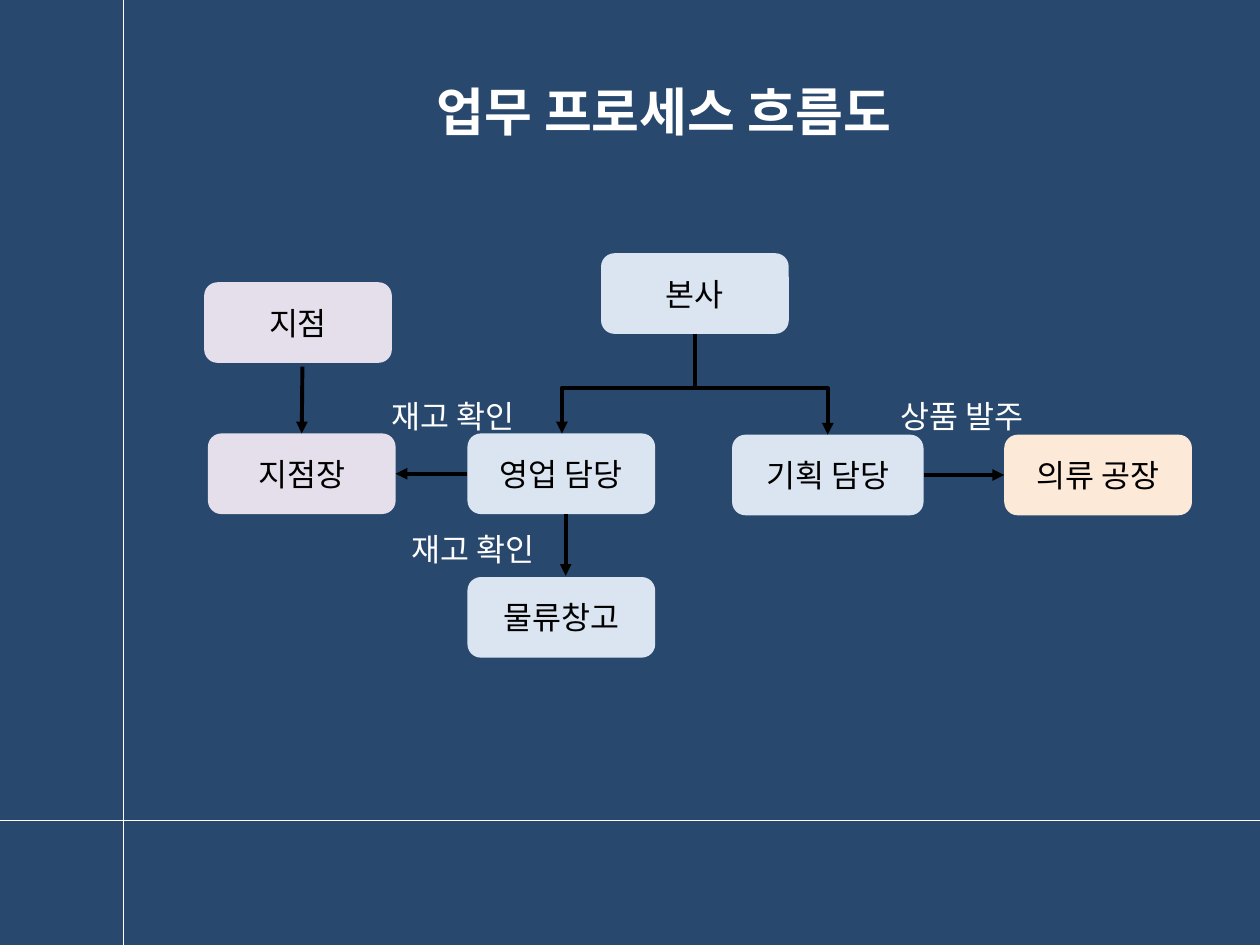
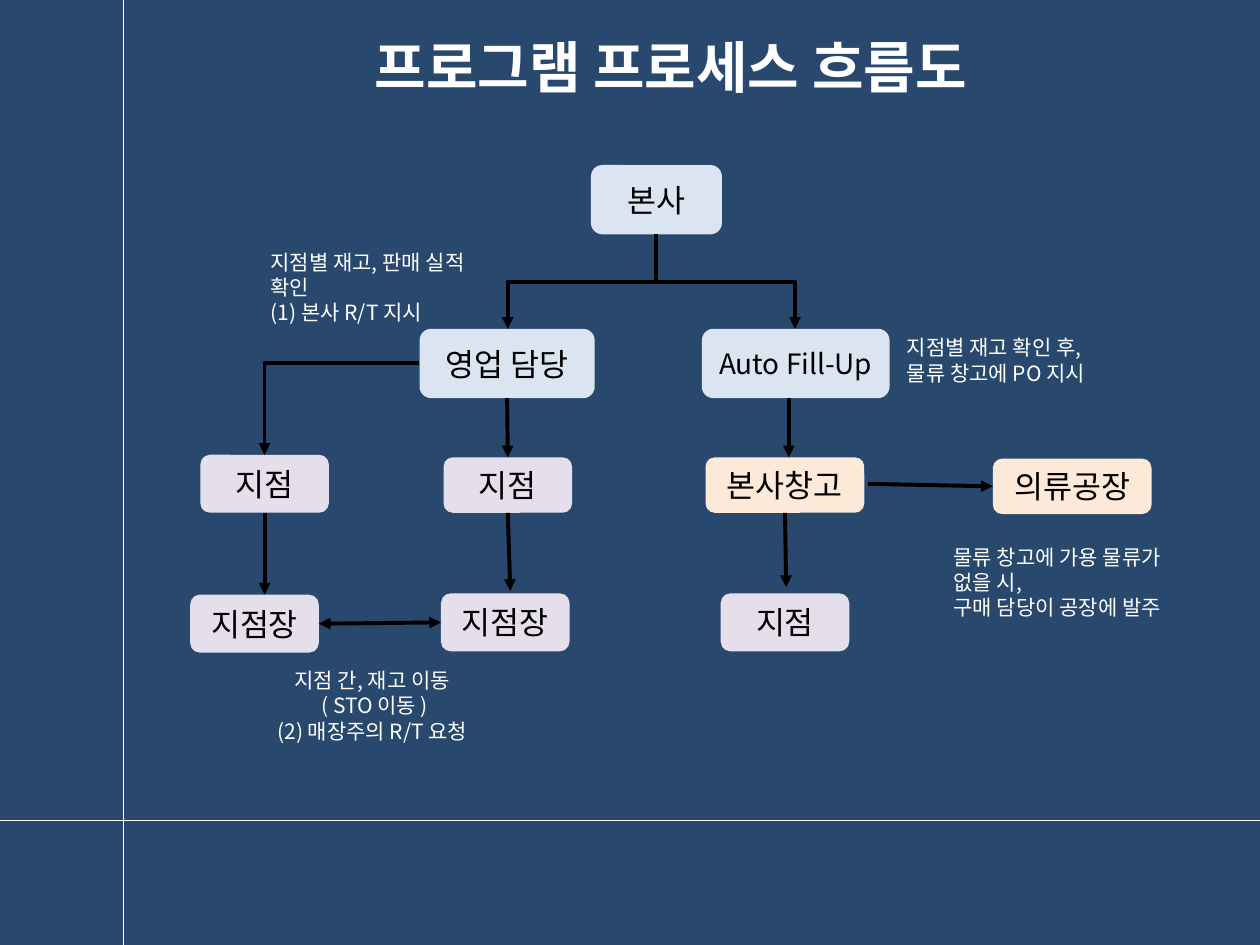
from dataclasses import dataclass

from lxml.etree import SubElement
from pptx import Presentation
from pptx.dml.color import RGBColor
from pptx.enum.shapes import MSO_CONNECTOR, MSO_SHAPE
from pptx.enum.text import MSO_ANCHOR, MSO_AUTO_SIZE, PP_ALIGN
from pptx.oxml.ns import qn
from pptx.util import Inches, Pt


@dataclass(frozen=True)
class Theme:
    font: str = "Noto Sans CJK KR"
    back: str = "29486D"
    light: str = "FFFFFF"
    dark: str = "000000"
    office: str = "DAE5F1"
    shop: str = "E5DFEC"
    plant: str = "FDE9D8"
    body: float = 18
    small: float = 16
    note: float = 12
    rule: float = 0.75
    arrow: float = 2.25


THEME = Theme()
TOP, LEFT, BOTTOM, RIGHT = range(4)


def rgb(code):
    return RGBColor.from_string(code)


def style(frame, size, color, align=None, bold=False):
    frame.word_wrap = True
    for para in frame.paragraphs:
        para.alignment = align
        for run in para.runs:
            font = run.font
            font.name, font.size, font.bold = THEME.font, Pt(size), bold
            font.color.rgb = rgb(color)
            SubElement(font._element, qn("a:ea"), typeface=THEME.font)


def stroke(line, color, width, heads=""):
    line.line.color.rgb = rgb(color)
    line.line.width = Pt(width)
    props = line.element.spPr
    for end in heads.split():
        SubElement(props.find(qn("a:ln")), qn(f"a:{end}End"), type="triangle")
    SubElement(props, qn("a:effectLst"))


def wire(slide, kind, start, end):
    return slide.shapes.add_connector(kind, *map(Inches, (*start, *end)))


def frame(deck, title, box, size):
    slide = deck.slides.add_slide(deck.slide_layouts[5])
    for start, end in (((0, 6.51), (10, 6.51)), ((0.98, 0), (0.98, 7.5))):
        stroke(wire(slide, MSO_CONNECTOR.STRAIGHT, start, end), THEME.light, THEME.rule)
    head = slide.shapes.title
    head.left, head.top, head.width, head.height = map(Inches, box)
    text = head.text_frame
    text.text = title
    text.auto_size = MSO_AUTO_SIZE.NONE
    text.vertical_anchor = MSO_ANCHOR.MIDDLE
    text.paragraphs[0].line_spacing = 0.8
    style(text, size, THEME.light, PP_ALIGN.CENTER, True)
    return slide


class Chart:
    def __init__(self, slide, left, top):
        self.slide, self.left, self.top = slide, left, top

    def spot(self, x, y):
        return self.left + x, self.top + y

    def node(self, text, x, y, size, fill, points=THEME.body):
        area = map(Inches, (*self.spot(x, y), *size))
        shape = self.slide.shapes.add_shape(MSO_SHAPE.ROUNDED_RECTANGLE, *area)
        shape.shadow.inherit = False
        shape.fill.solid()
        shape.fill.fore_color.rgb = rgb(fill)
        shape.line.fill.background()
        shape.text_frame.text = text
        shape.text_frame.vertical_anchor = MSO_ANCHOR.MIDDLE
        style(shape.text_frame, points, THEME.dark, PP_ALIGN.CENTER)
        return shape

    def note(self, text, x, y, size, points=THEME.note, align=None):
        area = map(Inches, (*self.spot(x, y), *size))
        text_box = self.slide.shapes.add_textbox(*area).text_frame
        text_box.text = text
        text_box.auto_size = MSO_AUTO_SIZE.SHAPE_TO_FIT_TEXT
        style(text_box, points, THEME.light, align)

    def link(self, start, end, heads="tail"):
        ends = [(0, 0) if hasattr(p[0], "shape_id") else self.spot(*p) for p in (start, end)]
        line = wire(self.slide, MSO_CONNECTOR.STRAIGHT, *ends)
        for point, join in ((start, line.begin_connect), (end, line.end_connect)):
            if hasattr(point[0], "shape_id"):
                join(*point)
        stroke(line, THEME.dark, THEME.arrow, heads)

    def fork(self, root, leaves, bend=50):
        x1 = (root.left + root.width / 2) / Inches(1)
        y1 = (root.top + root.height) / Inches(1)
        for leaf in leaves:
            x2, y2 = self.spot(*leaf)
            mid, half = ((x1 + x2) / 2, (y1 + y2) / 2), ((x2 - x1) / 2, (y2 - y1) / 2)
            start = mid[0] - half[1], mid[1] + half[0]
            end = mid[0] + half[1], mid[1] - half[0]
            line = wire(self.slide, MSO_CONNECTOR.ELBOW, start, end)
            props = line.element.spPr
            props.find(qn("a:xfrm")).set("rot", "5400000")
            guides = props.find(qn("a:prstGeom")).find(qn("a:avLst"))
            SubElement(guides, qn("a:gd"), name="adj1", fmla=f"val {bend * 1000}")
            stroke(line, THEME.dark, THEME.arrow, "tail")

    def corner(self, start, end):
        line = wire(self.slide, MSO_CONNECTOR.ELBOW, self.spot(*start), self.spot(*end))
        line.element.spPr.find(qn("a:prstGeom")).set("prst", "bentConnector2")
        stroke(line, THEME.dark, THEME.arrow, "tail")


def work_flow(slide, left, top):
    chart = Chart(slide, left, top)
    card = 1.49, 0.64
    chart.node("지점", 0.02, 0.24, card, THEME.shop)
    chief = chart.node("지점장", 0.05, 1.44, card, THEME.shop)
    head = chart.node("본사", 3.17, 0.01, card, THEME.office)
    sales = chart.node("영업 담당", 2.11, 1.44, card, THEME.office)
    chart.node("물류창고", 2.11, 2.58, card, THEME.office)
    plan = chart.node("기획 담당", 4.21, 1.45, (1.52, 0.64), THEME.office)
    plant = chart.node("의류 공장", 6.37, 1.45, card, THEME.plant)
    chart.fork(head, ((2.86, 1.44), (4.97, 1.45)), 54)
    chart.link((0.8, 0.91), (chief, TOP))
    chart.link((sales, LEFT), (chief, RIGHT))
    chart.link((2.89, 2.08), (2.89, 2.57))
    chart.link((plan, RIGHT), (plant, LEFT))
    for text, x, y in (("재고 확인", 1.41, 1.1), ("재고 확인", 1.57, 2.16), ("상품 발주", 5.45, 1.1)):
        chart.note(text, x, y, (1.3, 0.4), THEME.body)


def app_flow(slide, left, top):
    chart = Chart(slide, left, top)
    shop, store = (1.02, 0.46), (1.26, 0.44)
    head = chart.node("본사", 3.19, 0.01, (1.04, 0.55), THEME.office)
    sales = chart.node("영업 담당", 1.83, 1.31, (1.39, 0.55), THEME.office)
    chart.node("Auto Fill-Up", 4.07, 1.31, (1.49, 0.55), THEME.office, THEME.small)
    first = chart.node("지점", 0.09, 2.31, shop, THEME.shop)
    second = chart.node("지점", 2.02, 2.33, (1.02, 0.44), THEME.shop)
    depot = chart.node("본사창고", 4.1, 2.33, store, THEME.plant)
    plant = chart.node("의류공장", 6.38, 2.34, store, THEME.plant)
    chief = chart.node("지점장", 0.01, 3.42, shop, THEME.shop)
    peer = chart.node("지점장", 2, 3.41, shop, THEME.shop)
    chart.node("지점", 4.22, 3.41, shop, THEME.shop)
    chart.fork(head, ((2.53, 1.31), (4.81, 1.31)))
    chart.corner((1.83, 1.58), (0.6, 2.31))
    chart.link((sales, BOTTOM), (second, TOP))
    chart.link((4.76, 1.86), (4.76, 2.33))
    chart.link((first, BOTTOM), (0.6, 3.42))
    chart.link((second, BOTTOM), (2.55, 3.39))
    chart.link((depot, BOTTOM), (4.74, 3.36))
    chart.link((5.39, 2.54), (plant, LEFT))
    chart.link((chief, RIGHT), (peer, LEFT), "head tail")
    chart.note("지점별 재고, 판매 실적 확인\n(1) 본사 R/T 지시", 0.55, 0.63, (1.75, 0.71))
    chart.note("지점 간, 재고 이동\n ( STO 이동 )\n(2) 매장주의 R/T 요청",
               0.35, 3.95, (2.21, 0.71), align=PP_ALIGN.CENTER)
    chart.note("지점별 재고 확인 후,\n물류 창고에 PO 지시", 5.6, 1.31, (1.96, 0.5))
    chart.note("물류 창고에 가용 물류가 없을 시,\n구매 담당이 공장에 발주", 5.97, 2.97, (2.08, 0.71))


def main():
    deck = Presentation()
    deck.slide_width, deck.slide_height = Inches(10), Inches(7.5)
    back = deck.slide_master.background.fill
    back.solid()
    back.fore_color.rgb = rgb(THEME.back)
    work_flow(frame(deck, "업무 프로세스 흐름도", (2.57, 0.66, 5.4, 0.53), 29.7), 1.6, 2)
    app_flow(frame(deck, "프로그램 프로세스 흐름도", (2.32, 0.3, 6.01, 0.55), 32), 1.5, 1.3)
    deck.save("out.pptx")


if __name__ == "__main__":
    main()
